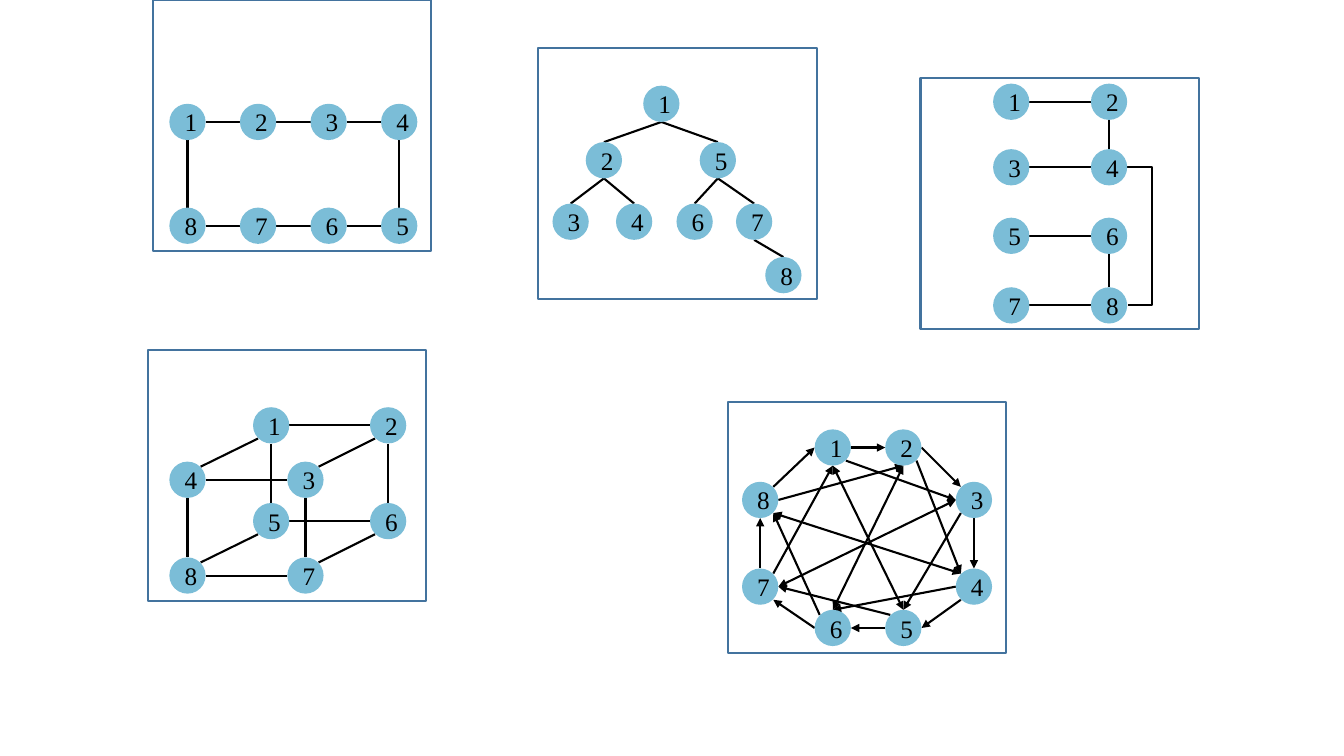
import lxml.etree
import pptx
import pptx.dml.color
import pptx.enum.shapes
import pptx.enum.text
import pptx.oxml.ns
import pptx.util

Inches = pptx.util.Inches
qn = pptx.oxml.ns.qn

FRAME_WIDTH, FRAME_HEIGHT = 2.76, 2.49
RADIUS = 0.18
DIAGONAL = 0.13
LINE_WIDTH = pptx.util.Pt(1.5)
SIDES = {
    "n": (0, -RADIUS), "s": (0, RADIUS), "w": (-RADIUS, 0), "e": (RADIUS, 0),
    "nw": (-DIAGONAL, -DIAGONAL), "ne": (DIAGONAL, -DIAGONAL),
    "sw": (-DIAGONAL, DIAGONAL), "se": (DIAGONAL, DIAGONAL),
}
ARROW_ENDS = {"-": (), ">": ("a:tailEnd",), "=": ("a:headEnd", "a:tailEnd")}
LABEL_FORMAT = {"name": "Times New Roman", "size": pptx.util.Pt(18)}


def colour(value):
    return pptx.dml.color.RGBColor.from_string(value)


def add_line(page, start, end, ends=(), kind="STRAIGHT"):
    connector_type = pptx.enum.shapes.MSO_CONNECTOR[kind]
    line = page.shapes.add_connector(
        connector_type, *(Inches(value) for value in (*start, *end)))
    line.line.color.rgb = colour("000000")
    line.line.width = LINE_WIDTH
    properties = line._element.spPr
    for name in ends:
        lxml.etree.SubElement(properties.find(qn("a:ln")), qn(name), type="triangle")
    lxml.etree.SubElement(properties, qn("a:effectLst"))
    return line


def add_frame(page, left, top):
    frame = page.shapes.add_shape(
        pptx.enum.shapes.MSO_SHAPE.RECTANGLE, Inches(left), Inches(top),
        Inches(FRAME_WIDTH), Inches(FRAME_HEIGHT))
    frame.shadow.inherit = False
    frame.fill.background()
    frame.line.color.rgb = colour("43739E")
    frame.line.width = LINE_WIDTH


def add_node(page, label, x, y):
    node = page.shapes.add_shape(
        pptx.enum.shapes.MSO_SHAPE.OVAL, Inches(x - RADIUS), Inches(y - RADIUS),
        Inches(2 * RADIUS), Inches(2 * RADIUS))
    node.shadow.inherit = False
    node.fill.solid()
    node.fill.fore_color.rgb = colour("7BBDD7")
    node.line.fill.background()
    node.text_frame.vertical_anchor = pptx.enum.text.MSO_ANCHOR.MIDDLE
    para = node.text_frame.paragraphs[0]
    para.alignment = pptx.enum.text.PP_ALIGN.CENTER
    span = para.add_run()
    span.text = label
    for name, value in LABEL_FORMAT.items():
        setattr(span.font, name, value)
    span.font.color.rgb = colour("000000")


def add_graph(page, left, top, nodes, edges):
    centres = {label: (left + x, top + y) for label, (x, y) in nodes.items()}

    def port(name):
        x, y = centres[name[0]]
        dx, dy = SIDES[name[1:]]
        return x + dx, y + dy

    for edge in edges.split():
        mark = next(mark for mark in ARROW_ENDS if mark in edge)
        start, end = edge.split(mark)
        add_line(page, port(start), port(end), ARROW_ENDS[mark])
    add_frame(page, left, top)
    for label, (x, y) in centres.items():
        add_node(page, label, x, y)


def add_ring(page, left, top):
    nodes = {}
    for labels, y in (("1234", 1.21), ("8765", 2.24)):
        for column, label in enumerate(labels):
            nodes[label] = (0.34 + 0.7 * column, y)
    add_graph(page, left, top, nodes,
              "1e-2w 2e-3w 3e-4w 4s-5n 5w-6e 6w-7e 7w-8e 8n-1s")


def add_tree(page, left, top):
    nodes = {
        "1": (1.22, 0.55), "2": (0.65, 1.11), "5": (1.78, 1.11),
        "3": (0.32, 1.72), "4": (0.95, 1.72), "6": (1.55, 1.72),
        "7": (2.14, 1.72), "8": (2.43, 2.25),
    }
    add_graph(page, left, top, nodes,
              "1s-2n 1s-5n 2s-3n 2s-4n 5s-6n 5s-7n 7s-8n")


def add_ladder(page, left, top):
    nodes = {}
    for labels, y in (("12", 0.24), ("34", 0.89), ("56", 1.57), ("78", 2.26)):
        for label, x in zip(labels, (0.9, 1.87)):
            nodes[label] = (x, y)
    x = left + nodes["4"][0] + RADIUS
    width, reach = 0.01, 0.25
    bend = add_line(page, (x, top + nodes["4"][1]),
                    (x + width, top + nodes["8"][1]), kind="ELBOW")
    guides = bend._element.spPr.find(qn("a:prstGeom")).get_or_add_avLst()
    lxml.etree.SubElement(guides, qn("a:gd"), name="adj1",
                          fmla=f"val {round(reach / width * 100000)}")
    add_graph(page, left, top, nodes, "1e-2w 3e-4w 5e-6w 7e-8w 2s-4n 6s-8n")


def add_cube(page, left, top):
    upper_face = {"1": (1.22, 0.75), "2": (2.38, 0.75),
                  "3": (1.56, 1.29), "4": (0.39, 1.29)}
    nodes = dict(upper_face)
    for label, (x, y) in upper_face.items():
        nodes[str(int(label) + 4)] = (x, y + 0.95)
    add_graph(page, left, top, nodes,
              "1e-2w 2sw-3ne 3w-4e 4ne-1sw 5e-6w 6sw-7ne 7w-8e 8ne-5sw "
              "1s-5n 2s-6n 3s-7n 4s-8n")


def add_chordal_ring(page, left, top):
    nodes = {
        "1": (1.04, 0.45), "2": (1.74, 0.45), "3": (2.44, 0.97), "4": (2.44, 1.83),
        "5": (1.74, 2.24), "6": (1.04, 2.24), "7": (0.32, 1.83), "8": (0.32, 0.97),
    }
    add_graph(page, left, top, nodes,
              "1e>2w 2e>3nw 3s>4n 4sw>5e 5w>6e 6w>7se 7n>8s 8ne>1w "
              "1s=5n 2s=6n 3w=7e 4nw=8se "
              "1se>3w 2se>4nw 3sw>5n 4w>6n 5nw>7e 6nw>8se 7ne>1s 8e>2s")


def main():
    deck = pptx.Presentation()
    deck.slide_width, deck.slide_height = Inches(13.33), Inches(7.5)
    page = deck.slides.add_slide(deck.slide_layouts[6])
    add_ring(page, 1.52, 0)
    add_tree(page, 5.34, 0.48)
    add_ladder(page, 9.13, 0.77)
    add_cube(page, 1.47, 3.47)
    add_chordal_ring(page, 7.22, 3.99)
    deck.save("out.pptx")


if __name__ == "__main__":
    main()
